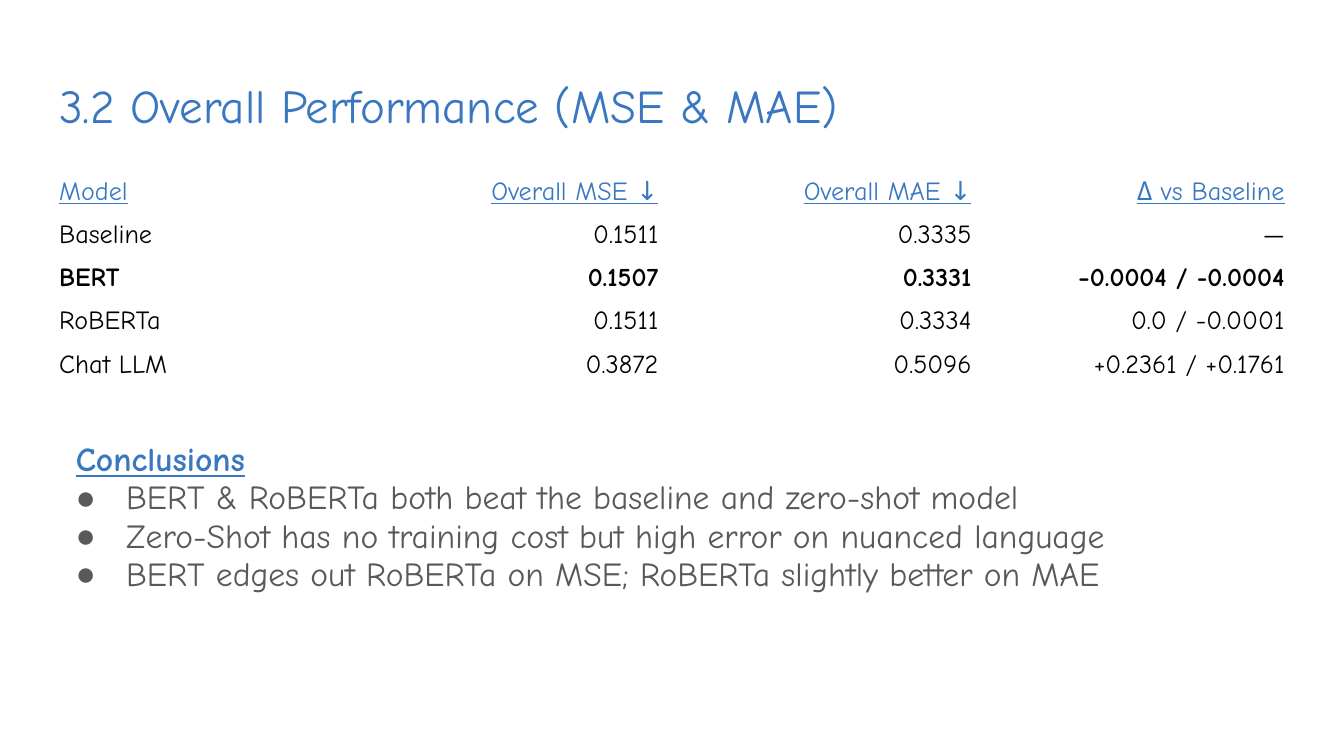
from lxml.etree import SubElement
from pptx import Presentation
from pptx.dml.color import RGBColor
from pptx.enum.text import MSO_ANCHOR, PP_ALIGN
from pptx.oxml.ns import qn
from pptx.util import Pt

FONT = "Comic Neue"
BULLET_FONT = "Arial"
COLORS = {"blue": "3977C1", "gray": "595959", "black": "000000"}
LEFT, WIDTH = 24.5, 671
LINE_SPACING = 0.95

RESULTS = [
    ("Model", "Overall MSE ↓", "Overall MAE ↓", "Δ vs Baseline"),
    ("Baseline", "0.1511", "0.3335", "—"),
    ("BERT", "0.1507", "0.3331", "−0.0004 / -0.0004"),
    ("RoBERTa", "0.1511", "0.3334", "0.0 / -0.0001"),
    ("Chat LLM", "0.3872", "0.5096", "+0.2361 / +0.1761"),
]
BEST_MODEL = "BERT"

CONCLUSIONS = [
    "BERT & RoBERTa both beat the baseline and zero-shot model",
    "Zero-Shot has no training cost but high error on nuanced language",
    "BERT edges out RoBERTa on MSE; RoBERTa slightly better on MAE",
]


def set_text(p, text, size, color, bold=False, underline=False):
    p.text = text
    p.line_spacing = LINE_SPACING
    for r in p.runs:
        r.font.name = FONT
        r.font.size = Pt(size)
        r.font.bold = bold
        r.font.underline = underline
        r.font.color.rgb = RGBColor.from_string(COLORS[color])


def set_margins(tf, size):
    tf.margin_left = tf.margin_right = Pt(size)
    tf.margin_top = tf.margin_bottom = Pt(size)
    tf.word_wrap = True


def set_indent(p, left, first=0, bullet=None, color="gray"):
    pPr = p._p.get_or_add_pPr()
    pPr.set("marL", str(Pt(left)))
    pPr.set("indent", str(Pt(first)))
    if bullet:
        clr = SubElement(pPr, qn("a:buClr"))
        SubElement(clr, qn("a:srgbClr"), val=COLORS[color])
        SubElement(pPr, qn("a:buFont"), typeface=BULLET_FONT)
        SubElement(pPr, qn("a:buChar"), char=bullet)


def add_title(s, text):
    sp = s.shapes.title
    sp.left, sp.top, sp.width, sp.height = Pt(LEFT), Pt(35), Pt(WIDTH), Pt(45)
    tf = sp.text_frame
    set_margins(tf, 7.2)
    tf.vertical_anchor = MSO_ANCHOR.MIDDLE
    p = tf.paragraphs[0]
    set_text(p, text, 25.2, "blue")
    p.alignment = PP_ALIGN.LEFT


def add_results_table(s, rows):
    row_height = 21
    table = s.shapes.add_table(len(rows), len(rows[0]), Pt(LEFT), Pt(91),
                               Pt(WIDTH), Pt(row_height * len(rows))).table
    table.first_row = table.horz_banding = False
    for i, values in enumerate(rows):
        table.rows[i].height = Pt(row_height)
        header = i == 0
        for j, value in enumerate(values):
            cell = table.cell(i, j)
            cell.fill.background()
            cell.vertical_anchor = MSO_ANCHOR.MIDDLE
            p = cell.text_frame.paragraphs[0]
            set_text(p, value, 14, "blue" if header else "black",
                     bold=values[0] == BEST_MODEL, underline=header)
            p.alignment = PP_ALIGN.RIGHT if j else PP_ALIGN.LEFT
            clear_borders(cell)


def clear_borders(cell):
    tcPr = cell._tc.get_or_add_tcPr()
    for i, side in enumerate(("lnL", "lnR", "lnT", "lnB")):
        ln = tcPr.makeelement(qn(f"a:{side}"), {"w": "0"})
        SubElement(ln, qn("a:noFill"))
        tcPr.insert(i, ln)


def add_conclusions(s, heading, items):
    tf = s.shapes.add_textbox(Pt(LEFT), Pt(229), Pt(WIDTH), Pt(120)).text_frame
    set_margins(tf, 7.2)
    p = tf.paragraphs[0]
    set_text(p, heading, 18, "blue", bold=True, underline=True)
    set_indent(p, 9)
    for item in items:
        p = tf.add_paragraph()
        set_text(p, item, 18, "gray")
        set_indent(p, 36, -27, "●")


def main():
    prs = Presentation()
    prs.slide_width, prs.slide_height = Pt(720), Pt(405)
    s = prs.slides.add_slide(prs.slide_layouts[5])
    add_title(s, "3.2 Overall Performance (MSE & MAE)")
    add_conclusions(s, "Conclusions", CONCLUSIONS)
    add_results_table(s, RESULTS)
    prs.save("out.pptx")


if __name__ == "__main__":
    main()
